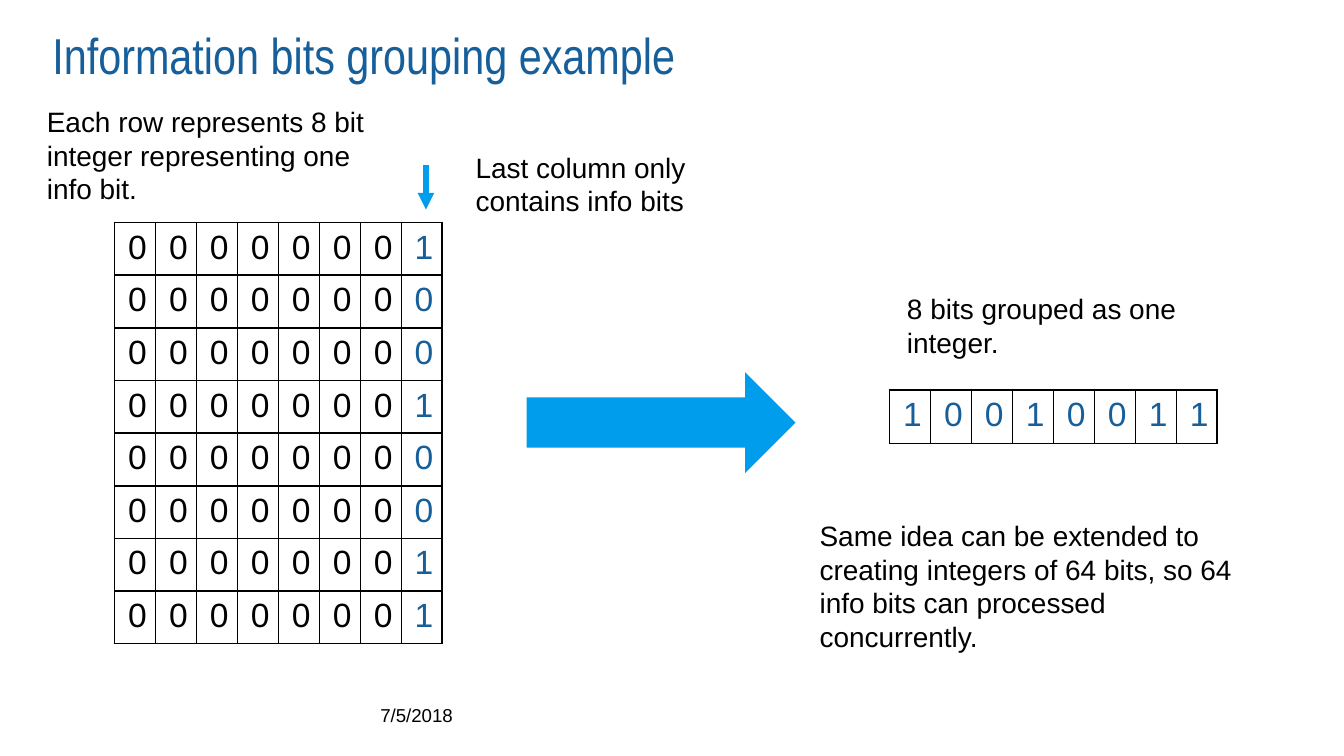
from lxml import etree
from pptx import Presentation
from pptx.dml.color import RGBColor
from pptx.enum import shapes, text
from pptx.oxml import ns
from pptx.util import Pt

COLORS = {"title": "165F9A", "ink": "000000", "accent": "009DEC"}
TITLE = "Information bits grouping example"
DATE = "7/5/2018"
INFO_BITS = "10010011"
NOTES = [
    ("Last column only contains info bits", 247.7, 77, 180, 43.9),
    ("8 bits grouped as one integer.", 478.8, 152.6, 165.6, 43.9),
    ("Each row represents 8 bit integer representing one info bit.", 18, 52.6, 198, 61.9),
    ("Same idea can be extended to creating integers of 64 bits, "
     "so 64 info bits can processed concurrently.", 432, 274.3, 252, 79.9),
]
BIT_ROWS = ["0" * 7 + bit for bit in INFO_BITS]
CELL_WIDTH = 21.96


def rgb(name):
    return RGBColor.from_string(COLORS[name])


def style(para, size, color, font="Arial"):
    for span in para.runs:
        span.font.size = Pt(size)
        span.font.name = font
        span.font.color.rgb = rgb(color)


def fill_frame(frame, wording, size, color, font="Arial", inset=True, wrap=True):
    frame.text = wording
    frame.word_wrap = wrap
    frame.vertical_anchor = text.MSO_ANCHOR.TOP
    if not inset:
        frame.margin_left = frame.margin_right = 0
        frame.margin_top = frame.margin_bottom = 0
    style(frame.paragraphs[0], size, color, font)


def add_text(left, top, width, height, *wording, **options):
    box = page.shapes.add_textbox(Pt(left), Pt(top), Pt(width), Pt(height))
    fill_frame(box.text_frame, *wording, **options)


def add_borders(cell):
    props = cell._tc.get_or_add_tcPr()
    for index, side in enumerate(("lnL", "lnR", "lnT", "lnB")):
        border = etree.Element(ns.qn("a:" + side), w=str(Pt(1)))
        solid = etree.SubElement(border, ns.qn("a:solidFill"))
        etree.SubElement(solid, ns.qn("a:srgbClr"), val=COLORS["ink"])
        props.insert(index, border)


def add_bits(rows, left, top, row_height, is_info):
    columns = len(rows[0])
    frame = page.shapes.add_table(len(rows), columns, Pt(left), Pt(top),
                                  Pt(columns * CELL_WIDTH), Pt(len(rows) * row_height))
    table = frame.table
    table.first_row = table.horz_banding = False
    for column in table.columns:
        column.width = Pt(CELL_WIDTH)
    for r, bits in enumerate(rows):
        table.rows[r].height = Pt(row_height)
        for c, bit in enumerate(bits):
            cell = table.cell(r, c)
            cell.text = bit
            cell.margin_top = cell.margin_bottom = Pt(3.3)
            cell.fill.background()
            style(cell.text_frame.paragraphs[0], 18, "title" if is_info(c) else "ink")
            add_borders(cell)


deck = Presentation()
deck.slide_width, deck.slide_height = Pt(720), Pt(405)
page = deck.slides.add_slide(deck.slide_layouts[6])

add_text(28.1, 13, 652.3, 64.1, TITLE, 27, "title", font="Arial Narrow", inset=False)
add_bits(BIT_ROWS, 61.4, 119.2, 27.4, lambda column: column == 7)
add_text(203.8, 377.3, 62.6, 10.8, DATE, 10, "ink", inset=False, wrap=False)

pointer = page.shapes.add_connector(shapes.MSO_CONNECTOR.STRAIGHT,
                                    Pt(228.2), Pt(88.6), Pt(228.2), Pt(112.3))
pointer.line.color.rgb = rgb("accent")
pointer.line.width = Pt(3)
etree.SubElement(pointer.line._get_or_add_ln(), ns.qn("a:tailEnd"), type="triangle")
etree.SubElement(pointer._element.spPr, ns.qn("a:effectLst"))

arrow = page.shapes.add_shape(shapes.MSO_SHAPE.RIGHT_ARROW, Pt(282.2), Pt(199.4), Pt(144), Pt(54))
arrow.shadow.inherit = False
arrow.fill.solid()
arrow.fill.fore_color.rgb = rgb("accent")
arrow.line.fill.background()

add_bits([INFO_BITS], 476.6, 208.8, 28.8, lambda column: True)
for wording, *place in NOTES:
    add_text(*place, wording, 15, "ink")

deck.save("out.pptx")
